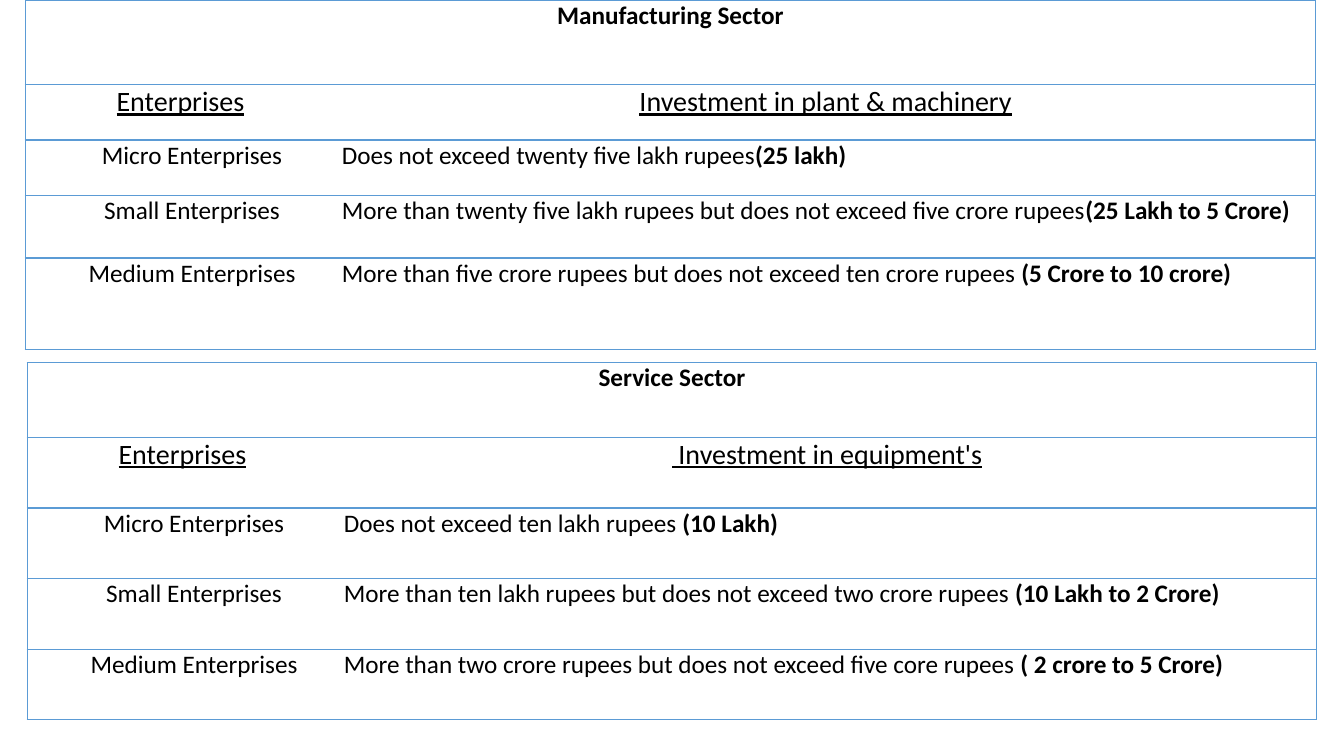
from lxml import etree
from pptx import Presentation
from pptx.dml.color import RGBColor
from pptx.enum.text import PP_ALIGN
from pptx.oxml.ns import qn
from pptx.util import Inches, Pt

BORDER, TEXT, PAPER = "5B9BD5", "000000", "FFFFFF"
FONT = "Calibri"
LABEL_INDENT, RULE_INDENT = 0.23, 0.06

MANUFACTURING = [
    ("Micro", "Does not exceed twenty five lakh rupees", "(25 lakh)"),
    ("Small", "More than twenty five lakh rupees but does not exceed five crore rupees",
     "(25 Lakh to 5 Crore)"),
    ("Medium", "More than five crore rupees but does not exceed ten crore rupees ",
     "(5 Crore to 10 crore)"),
]
SERVICE = [
    ("Micro", "Does not exceed ten lakh rupees ", "(10 Lakh)"),
    ("Small", "More than ten lakh rupees but does not exceed two crore rupees ",
     "(10 Lakh to 2 Crore)"),
    ("Medium", "More than two crore rupees but does not exceed five core rupees ",
     "( 2 crore to 5 Crore)"),
]


def color(hex_code):
    """Turn a hex string into a colour."""
    return RGBColor.from_string(hex_code)


def set_borders(cell, visible):
    """Draw the named sides (L, R, T, B) of a cell and clear the others."""
    properties = cell._tc.get_or_add_tcPr()
    for side in "LRTB":
        line = etree.SubElement(properties, qn("a:ln" + side), w=str(Pt(1)))
        if side in visible:
            fill = etree.SubElement(line, qn("a:solidFill"))
            etree.SubElement(fill, qn("a:srgbClr"), val=BORDER)
        else:
            etree.SubElement(line, qn("a:noFill"))


def style_cell(cell, visible):
    """Give a cell its borders, white fill and zero margins."""
    set_borders(cell, visible)
    cell.fill.solid()
    cell.fill.fore_color.rgb = color(PAPER)
    cell.margin_left = cell.margin_right = 0
    cell.margin_top = cell.margin_bottom = 0


def write(cell, plain="", bold="", size=18, underline=False,
          align=PP_ALIGN.CENTER, indent=0):
    """Write plain text followed by bold text in a cell."""
    cell.margin_left = Inches(indent)
    paragraph = cell.text_frame.paragraphs[0]
    paragraph.alignment = align
    for text, is_bold in ((plain, False), (bold, True)):
        if text:
            run = paragraph.add_run()
            run.text = text
            font = run.font
            font.name, font.size = FONT, Pt(size)
            font.bold, font.underline = is_bold, underline
            font.color.rgb = color(TEXT)


def add_sector_table(slide, title, heading, classes, box, row_heights):
    """Add one sector's table of enterprise classes and investment limits."""
    left, top, width = box
    frame = slide.shapes.add_table(
        len(row_heights), 2, Inches(left), Inches(top),
        Inches(width), Inches(sum(row_heights)))
    table = frame.table
    table.first_row = table.horz_banding = False
    label_width = 3.08
    table.columns[0].width = Inches(label_width)
    table.columns[1].width = Inches(width - label_width)
    for row, height in zip(table.rows, row_heights):
        row.height = Inches(height)
        style_cell(row.cells[0], "LTB")
        style_cell(row.cells[1], "RTB")

    title_cell = table.cell(0, 0)
    title_cell.merge(table.cell(0, 1))
    set_title_sides = title_cell._tc.tcPr.find(qn("a:lnR"))
    set_title_sides.getparent().replace(
        set_title_sides, border_like(title_cell, "R"))
    write(title_cell, bold=title)
    for column, text in enumerate(("Enterprises", heading)):
        write(table.cell(1, column), text, size=20, underline=True)
    for row, (name, limit, amount) in enumerate(classes, start=2):
        write(table.cell(row, 0), name + " Enterprises", indent=LABEL_INDENT)
        write(table.cell(row, 1), limit, amount,
              align=PP_ALIGN.JUSTIFY, indent=RULE_INDENT)


def border_like(cell, side):
    """Return a visible border for one side, matching the cell's left one."""
    source = cell._tc.tcPr.find(qn("a:lnL"))
    border = etree.Element(qn("a:ln" + side), w=source.get("w"))
    fill = etree.SubElement(border, qn("a:solidFill"))
    etree.SubElement(fill, qn("a:srgbClr"), val=BORDER)
    return border


def main():
    """Build the slide with both sector tables."""
    deck = Presentation()
    deck.slide_width, deck.slide_height = Inches(13.33), Inches(7.5)
    slide = deck.slides.add_slide(deck.slide_layouts[6])
    add_sector_table(slide, "Manufacturing Sector", "Investment in plant & machinery",
                     MANUFACTURING, (0.25, 0, 12.8), [0.84, 0.55, 0.55, 0.62, 0.91])
    add_sector_table(slide, "Service Sector", "\u00a0Investment in equipment's",
                     SERVICE, (0.27, 3.6, 12.79), [0.74] + [0.7] * 4)
    deck.save("out.pptx")


main()
